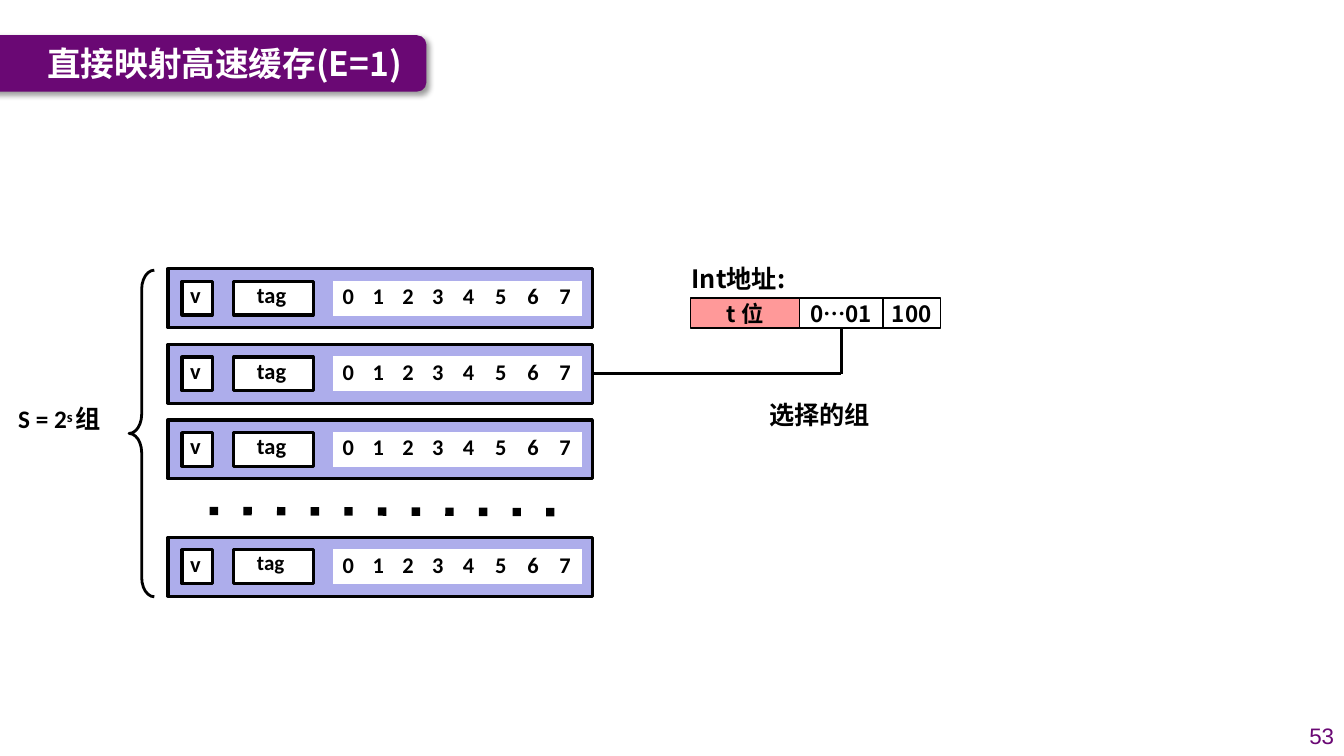
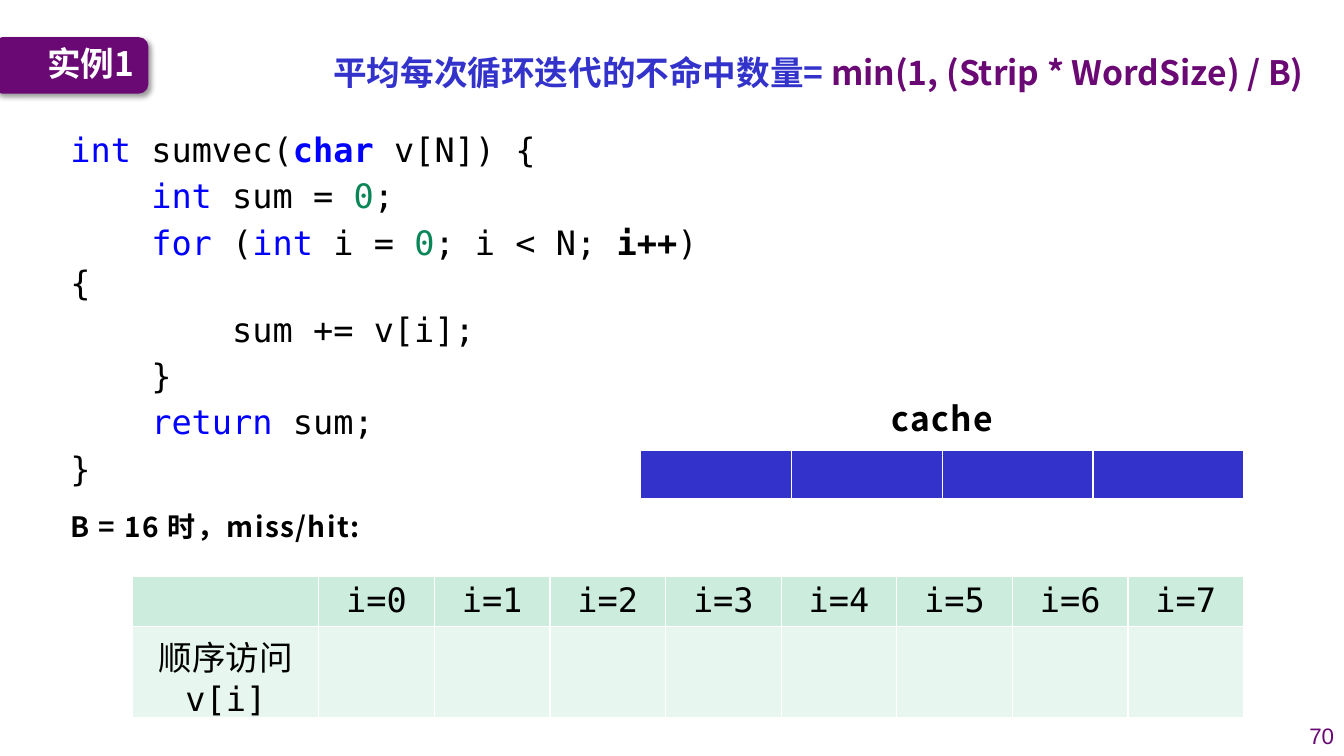
"""Build two slides on direct-mapped caches and miss counts."""
from dataclasses import dataclass, replace

import lxml.etree
import pptx
import pptx.dml.color
import pptx.enum.shapes
import pptx.enum.text
import pptx.oxml.ns
import pptx.util

Pt = pptx.util.Pt
RGBColor = pptx.dml.color.RGBColor
PP_ALIGN = pptx.enum.text.PP_ALIGN
MSO_ANCHOR = pptx.enum.text.MSO_ANCHOR
MSO_SHAPE = pptx.enum.shapes.MSO_SHAPE
MSO_CONNECTOR = pptx.enum.shapes.MSO_CONNECTOR

PURPLE = RGBColor(0x6A, 0x08, 0x74)
BLACK = RGBColor(0, 0, 0)
WHITE = RGBColor(0xFF, 0xFF, 0xFF)
LILAC = RGBColor(0xAD, 0xAD, 0xEB)
PINK = RGBColor(0xFF, 0x99, 0x99)
INDIGO = RGBColor(0x33, 0x33, 0xCC)
KEYWORD = RGBColor(0, 0, 0xFF)
NUMBER = RGBColor(0x09, 0x86, 0x58)
MINT = RGBColor(0xCC, 0xEC, 0xDE)
PALE_MINT = RGBColor(0xE7, 0xF6, 0xEF)

CJK = "Noto Sans CJK SC"
MONO = "DejaVu Sans Mono"


@dataclass(frozen=True)
class Style:
    size: float
    color: RGBColor = BLACK
    bold: bool = True
    font: str = CJK
    tracking: float = 0
    raised: bool = False


@dataclass(frozen=True)
class Span:
    text: str
    style: Style


@dataclass(frozen=True)
class Box:
    x: float
    y: float
    w: float
    h: float

    def lengths(self) -> tuple:
        return Pt(self.x), Pt(self.y), Pt(self.w), Pt(self.h)


@dataclass(frozen=True)
class CacheLine:
    top: float
    tag_size: float = 16


@dataclass(frozen=True)
class Field:
    label: str
    x: float
    w: float
    fill: RGBColor | None = None


TITLE = Style(24, WHITE)
PAGE = Style(16, PURPLE, False, "Arial")
CELL = Style(16, font="Calibri")
CODE = Style(24, bold=False, font=MONO)
KEY = replace(CODE, color=KEYWORD)
NUM = replace(CODE, color=NUMBER)
STRONG = replace(CODE, bold=True)

CACHE_LINES = [CacheLine(192), CacheLine(246), CacheLine(300), CacheLine(383.8, 15)]
FIELDS = [Field("t 位", 493.2, 77.8, PINK), Field("0…01", 571, 59.8), Field("100", 630.8, 41)]
CODE_LINES = [
    [Span("int ", KEY), Span("sumvec(", CODE), Span("char", replace(KEY, bold=True)),
     Span(" v[N]) {", CODE)],
    [Span("    int", KEY), Span(" sum = ", CODE), Span("0", NUM), Span(";", CODE)],
    [Span("    for", KEY), Span(" (", CODE), Span("int ", KEY), Span("i = ", CODE),
     Span("0", NUM), Span("; i < N; ", CODE), Span("i++", STRONG), Span(") {", CODE)],
    [Span("        sum += v[i];", CODE)],
    [Span("    }", CODE)],
    [Span("    return", KEY), Span(" sum;", CODE)],
    [Span("}", CODE)],
]


def child(parent, tag: str, **attrs: str):
    """Append a DrawingML child element."""
    return lxml.etree.SubElement(parent, pptx.oxml.ns.qn(tag), attrs)


def write(p, spans: list[Span]) -> None:
    """Add formatted runs to a paragraph."""
    for span in spans:
        r = p.add_run()
        r.text = span.text
        style = span.style
        r.font.size = Pt(style.size)
        r.font.bold = style.bold
        r.font.color.rgb = style.color
        r.font.name = style.font
        rpr = r.font._element
        child(rpr, "a:ea", typeface=CJK)
        if style.tracking:
            rpr.set("spc", str(int(style.tracking * 100)))
        if style.raised:
            rpr.set("baseline", "25000")


def set_margins(holder, left: float = 0, top: float = 0, right: float = 0, bottom: float = 0) -> None:
    """Set the four text insets."""
    holder.margin_left, holder.margin_top = Pt(left), Pt(top)
    holder.margin_right, holder.margin_bottom = Pt(right), Pt(bottom)


def add_text(s, box: Box, lines: list[list[Span]], align=PP_ALIGN.LEFT, inset: bool = True,
             gap: float = 0, anchor=MSO_ANCHOR.TOP) -> None:
    """Add a wrapped text box."""
    tf = s.shapes.add_textbox(*box.lengths()).text_frame
    tf.word_wrap = True
    tf.vertical_anchor = anchor
    if not inset:
        set_margins(tf)
    for i, spans in enumerate(lines):
        p = tf.add_paragraph() if i else tf.paragraphs[0]
        p.alignment = align
        if i:
            p.space_before = Pt(gap)
        write(p, spans)


def add_figure(s, kind, box: Box, fill: RGBColor | None, width: float = 0):
    """Add a flat preset shape with an optional fill and black outline."""
    sp = s.shapes.add_shape(kind, *box.lengths())
    sp.shadow.inherit = False
    if fill is None:
        sp.fill.background()
    else:
        sp.fill.solid()
        sp.fill.fore_color.rgb = fill
    if width:
        sp.line.color.rgb = BLACK
        sp.line.width = Pt(width)
    else:
        sp.line.fill.background()
    return sp


def add_line(s, x1: float, y1: float, x2: float, y2: float, width: float, dash: str = "solid"):
    """Add a black straight connector."""
    line = s.shapes.add_connector(MSO_CONNECTOR.STRAIGHT, Pt(x1), Pt(y1), Pt(x2), Pt(y2))
    line.line.color.rgb = BLACK
    line.line.width = Pt(width)
    child(line.line._get_or_add_ln(), "a:prstDash", val=dash)
    child(line._element.spPr, "a:effectLst")
    return line


def add_grid(s, x: float, y: float, widths: list[float], heights: list[float],
             fills: list[RGBColor], border: bool = True):
    """Add a table with one fill per row and white cell borders."""
    box = Box(x, y, sum(widths), sum(heights))
    table = s.shapes.add_table(len(heights), len(widths), *box.lengths()).table
    table.first_row = table.horz_banding = False
    for column, width in zip(table.columns, widths):
        column.width = Pt(width)
    for row, height, fill in zip(table.rows, heights, fills):
        row.height = Pt(height)
        for cell in row.cells:
            if border:
                for side in ("a:lnL", "a:lnR", "a:lnT", "a:lnB"):
                    ln = child(cell._tc.get_or_add_tcPr(), side, w="12700")
                    child(child(ln, "a:solidFill"), "a:srgbClr", val=str(WHITE))
            cell.fill.solid()
            cell.fill.fore_color.rgb = fill
    return table


def start_slide(prs, title: str, page: str, bar: Box, title_width: float):
    """Add a slide with the purple title bar and page number."""
    s = prs.slides.add_slide(prs.slide_layouts[5])
    sp = add_figure(s, MSO_SHAPE.ROUNDED_RECTANGLE, bar, PURPLE)
    effects = sp._element.spPr.find(pptx.oxml.ns.qn("a:effectLst"))
    shadow = child(effects, "a:outerShdw", blurRad=str(Pt(4)), dist=str(Pt(3)),
                   dir="2700000", algn="tl", rotWithShape="0")
    child(child(shadow, "a:srgbClr", val=str(BLACK)), "a:alpha", val="40000")
    holder = s.shapes.title
    holder._element.addprevious(sp._element)
    holder.left, holder.top, holder.width, holder.height = Box(26.6, 25.2, title_width, 39.6).lengths()
    tf = holder.text_frame
    tf.word_wrap = True
    tf.auto_size = pptx.enum.text.MSO_AUTO_SIZE.NONE
    tf.vertical_anchor = MSO_ANCHOR.MIDDLE
    p = tf.paragraphs[0]
    p.alignment = PP_ALIGN.LEFT
    write(p, [Span(title, TITLE)])
    add_text(s, Box(920, 511.2, 40, 28.8), [[Span(page, PAGE)]], PP_ALIGN.RIGHT,
             anchor=MSO_ANCHOR.MIDDLE)
    return s


def add_cache_line(s, line: CacheLine):
    """Draw one cache line and return its frame."""
    frame = add_figure(s, MSO_SHAPE.RECTANGLE, Box(120, line.top, 303.2, 42), LILAC, 2.25)
    top = line.top + 9
    for text, x, w, left, size in (("v", 130, 21.6, 5.8, 16), ("tag", 167, 56.8, 16.6, line.tag_size)):
        tf = add_figure(s, MSO_SHAPE.RECTANGLE, Box(x, top, w, 24), WHITE, 2.25).text_frame
        set_margins(tf, left)
        tf.vertical_anchor = MSO_ANCHOR.TOP
        tf.paragraphs[0].alignment = PP_ALIGN.LEFT
        write(tf.paragraphs[0], [Span(text, replace(CELL, size=size))])
    table = add_grid(s, 238.3, top, [21.3] * 4 + [23] * 4, [24], [WHITE], border=False)
    for i, cell in enumerate(table.rows[0].cells):
        set_margins(cell, 6.5 if i < 4 else 7.2, 1.4)
        write(cell.text_frame.paragraphs[0], [Span(str(i), CELL)])
    return frame


def add_field(s, field: Field):
    """Draw one address field with its label centred inside."""
    sp = add_figure(s, MSO_SHAPE.RECTANGLE, Box(field.x, 213, field.w, 21.3), field.fill, 1)
    tf = sp.text_frame
    set_margins(tf)
    tf.word_wrap = False
    tf.vertical_anchor = MSO_ANCHOR.MIDDLE
    tf.paragraphs[0].alignment = PP_ALIGN.CENTER
    write(tf.paragraphs[0], [Span(field.label, Style(16))])
    return sp


def build_mapping(prs) -> None:
    """Build the direct-mapped cache slide."""
    s = start_slide(prs, "直接映射高速缓存(E=1)", "53", Box(-14.4, 25.2, 319, 40.3), 286.6)
    brace = add_figure(s, MSO_SHAPE.LEFT_BRACE, Box(92.2, 193, 18, 233.3), None, 2)
    brace.adjustments[0] = 0.76
    label = replace(CELL, size=18)
    add_text(s, Box(13, 288, 76, 22),
             [[Span("S = 2", label), Span("s ", replace(label, raised=True)), Span("组", label)]],
             inset=False)
    add_line(s, 149.8, 365, 396, 365.8, 6, "dot")
    frames = [add_cache_line(s, line) for line in CACHE_LINES]
    fields = [add_field(s, field) for field in FIELDS]
    corner_x = FIELDS[1].x + FIELDS[1].w / 2
    corner_y = CACHE_LINES[1].top + 21
    add_line(s, corner_x, 234.3, corner_x, corner_y, 2).begin_connect(fields[1], 2)
    add_line(s, corner_x, corner_y, 423.2, corner_y, 2).end_connect(frames[1], 3)
    heading = Style(18)
    for text, x, y in (("Int地址:", 494, 188), ("选择的组", 549.4, 285)):
        add_text(s, Box(x, y, 120, 26), [[Span(text, heading)]], inset=False)


def build_example(prs) -> None:
    """Build the vector sum example slide."""
    s = start_slide(prs, "实例1", "70", Box(-5, 26.6, 111, 40.3), 85)
    formula = Style(24, INDIGO)
    add_text(s, Box(217.4, 33.8, 734.4, 36),
             [[Span("平均每次循环迭代的不命中数量= ", formula),
               Span("min(1, (Strip * WordSize) / B)", replace(formula, color=PURPLE))]],
             PP_ALIGN.CENTER)
    add_text(s, Box(43.2, 360.7, 260, 31.7), [[Span("B = 16 时，miss/hit:", Style(20, tracking=1))]])
    add_text(s, Box(43.2, 88.6, 488.9, 245.5), CODE_LINES, gap=4.3)
    table = add_grid(s, 94.9, 411.8, [132.8] + [82.6] * 8, [35.7, 65], [MINT, PALE_MINT])
    labels = {(0, i + 1): f"i={i}" for i in range(8)} | {(1, 0): "顺序访问v[i]"}
    for (row, column), text in labels.items():
        cell = table.cell(row, column)
        set_margins(cell, 7.2, 3.6, 7.2)
        p = cell.text_frame.paragraphs[0]
        p.alignment = PP_ALIGN.CENTER
        write(p, [Span(text, CODE)])
    add_grid(s, 457.6, 321.8, [107.7] * 4, [34.5], [INDIGO])
    add_text(s, Box(457.9, 280.8, 430.6, 36), [[Span("cache", Style(24, tracking=1))]], PP_ALIGN.CENTER)


def main() -> None:
    """Build and save the presentation."""
    prs = pptx.Presentation()
    prs.slide_width, prs.slide_height = Pt(960), Pt(540)
    build_mapping(prs)
    build_example(prs)
    prs.save("out.pptx")


if __name__ == "__main__":
    main()
